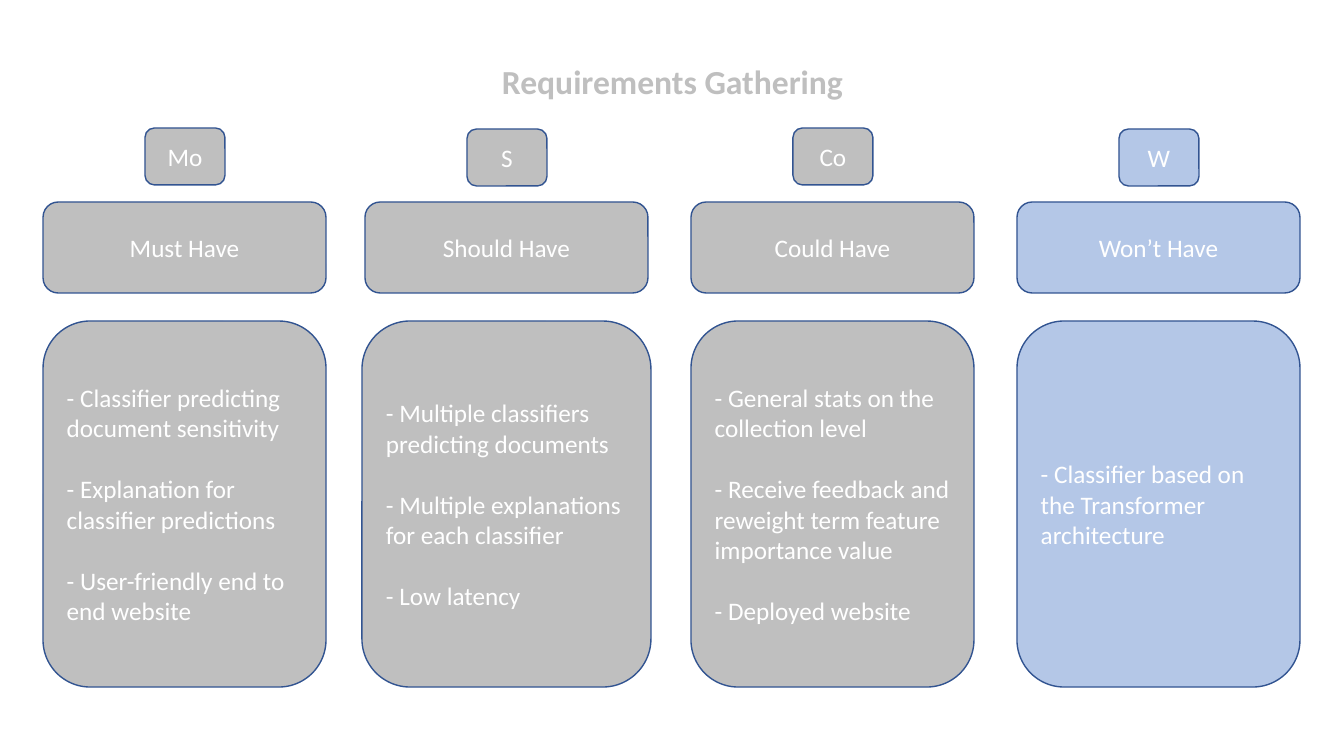
import pptx
import pptx.dml.color
import pptx.enum.shapes
import pptx.enum.text
import pptx.util

SCALE = 914400 / 100.8  # EMU per pixel
COLORS = {"grey": "BFBFBF", "blue": "B4C7E7", "outline": "325491", "white": "FFFFFF"}
ALIGN = pptx.enum.text.PP_ALIGN
ANCHOR = pptx.enum.text.MSO_ANCHOR


def emu(pixels):
    return pptx.util.Emu(round(pixels * SCALE))


def color(name):
    return pptx.dml.color.RGBColor.from_string(COLORS[name])


def apply_format(target, values):
    for name, value in values.items():
        setattr(target, name, value)


class Board:
    """Holds the text style and the current slide."""

    font = {"name": "Calibri", "size": pptx.util.Pt(18), "bold": False}

    def __init__(self, deck):
        self.slide = deck.slides.add_slide(deck.slide_layouts[5])

    def fill_text(self, shape, lines, ink, font=None, **para_format):
        frame = shape.text_frame
        apply_format(frame, {"word_wrap": True, "vertical_anchor": ANCHOR.MIDDLE,
                             "auto_size": pptx.enum.text.MSO_AUTO_SIZE.NONE})
        for index, line in enumerate(lines):
            para = frame.add_paragraph() if index else frame.paragraphs[0]
            apply_format(para, para_format)
            if index:
                para.space_before = pptx.util.Pt(22)
            span = para.add_run()
            span.text = line
            apply_format(span.font, {**self.font, **(font or {})})
            span.font.color.rgb = color(ink)

    def title(self, area, text):
        shape = self.slide.shapes.title
        apply_format(shape, dict(zip(("left", "top", "width", "height"), map(emu, area))))
        self.fill_text(shape, [text], "grey", {"size": pptx.util.Pt(24), "bold": True},
                       alignment=ALIGN.CENTER, line_spacing=0.9)

    def box(self, area, fill, lines, alignment=ALIGN.CENTER):
        shape = self.slide.shapes.add_shape(
            pptx.enum.shapes.MSO_SHAPE.ROUNDED_RECTANGLE, *map(emu, area))
        shape.shadow.inherit = False
        shape.fill.solid()
        shape.fill.fore_color.rgb = color(fill)
        shape.line.color.rgb = color("outline")
        shape.line.width = pptx.util.Pt(1)
        self.fill_text(shape, lines, "white", alignment=alignment)


# Deck and title
deck = pptx.Presentation()
apply_format(deck, {"slide_width": emu(1344), "slide_height": emu(756)})
board = Board(deck)
board.title((93, 55, 1159, 57), "Requirements Gathering")

# Priorities: left edge, badge top, extra card width, fill, badge, heading, requirements
priorities = [
    (43, 128, 0, "grey", "Mo", "Must Have", [
        "- Classifier predicting document sensitivity",
        "- Explanation for classifier predictions",
        "- User-friendly end to end website"]),
    (365, 129, 6, "grey", "S", "Should Have", [
        "- Multiple classifiers predicting documents",
        "- Multiple explanations for each classifier",
        "- Low latency"]),
    (691, 128, 0, "grey", "Co", "Could Have", [
        "- General stats on the collection level",
        "- Receive feedback and reweight term feature importance value",
        "- Deployed website"]),
    (1017, 129, 0, "blue", "W", "Won’t Have", [
        "- Classifier based on the Transformer architecture"]),
]

# One column per priority: badge, heading, card
for left, badge_top, extra, fill, badge, heading, requirements in priorities:
    board.box((left + 102, badge_top, 80, 57), fill, [badge])
    board.box((left, 202, 283, 91), fill, [heading])
    board.box((left - extra // 2, 321, 283 + extra, 366), fill, requirements, ALIGN.LEFT)

deck.save("out.pptx")
